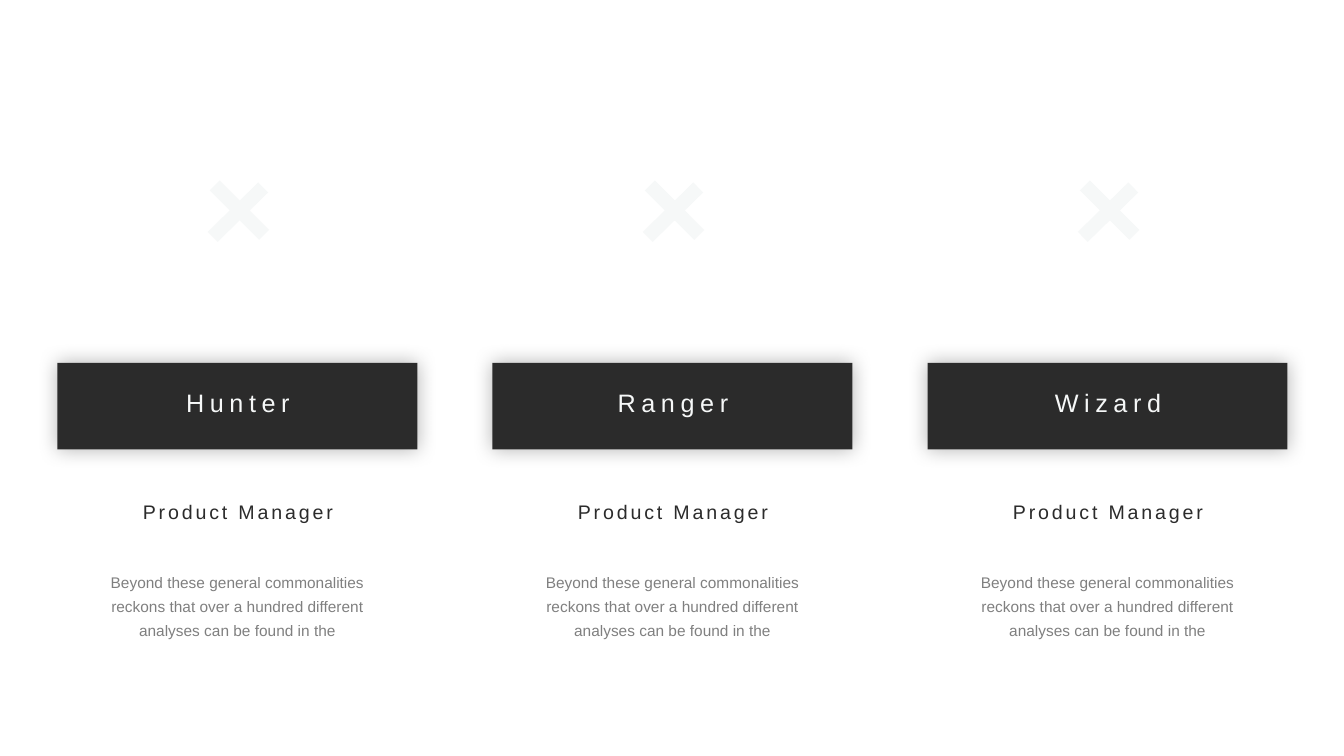
"""Build a slide presenting three team roles in equal columns."""
from lxml import etree
from pptx import Presentation
from pptx.dml.color import RGBColor
from pptx.enum.shapes import MSO_CONNECTOR, MSO_SHAPE
from pptx.enum.text import MSO_AUTO_SIZE, PP_ALIGN
from pptx.oxml.ns import qn
from pptx.util import Inches, Pt

STRAIGHT = MSO_CONNECTOR.STRAIGHT
RECTANGLE = MSO_SHAPE.RECTANGLE
CENTER = PP_ALIGN.CENTER
GROW = MSO_AUTO_SIZE.SHAPE_TO_FIT_TEXT
DARK, PALE, WHITE = "2B2B2B", "F6F8F8", "FFFFFF"
BLURB = ("Beyond these general commonalities reckons that over a hundred "
         "different analyses can be found in the")
COLUMN_PITCH = 4.315


def color(hex_value):
    return RGBColor.from_string(hex_value)


def add_text(left, top, width, height, text, size, hex_value, line_spacing, tracking=0):
    box = slide.shapes.add_textbox(Inches(left), Inches(top), Inches(width), Inches(height))
    box.text_frame.word_wrap = True
    paragraph = box.text_frame.paragraphs[0]
    paragraph.alignment = CENTER
    paragraph.line_spacing = line_spacing
    run = paragraph.add_run()
    run.text = text
    run.font.name = "Arial"
    run.font.size = Pt(size)
    run.font.color.rgb = color(hex_value)
    if tracking:
        run.font._element.set("spc", str(tracking * 100))
    return box


prs = Presentation()
prs.slide_width = Inches(13.33)
prs.slide_height = Inches(7.5)
slide = prs.slides.add_slide(prs.slide_layouts[6])
slide.background.fill.solid()
slide.background.fill.fore_color.rgb = color(PALE)

panel = slide.shapes.add_shape(RECTANGLE, 0, 0, prs.slide_width, prs.slide_height)
panel.shadow.inherit = False
panel.fill.solid()
panel.fill.fore_color.rgb = color(WHITE)
panel.line.fill.background()

for column, role in enumerate(["Hunter", "Ranger", "Wizard"]):
    left = 0.57 + column * COLUMN_PITCH

    banner = slide.shapes.add_shape(
        RECTANGLE, Inches(left), Inches(3.6), Inches(3.57), Inches(0.86))
    banner.shadow.inherit = False
    banner.fill.solid()
    banner.fill.fore_color.rgb = color(DARK)
    banner.line.fill.background()
    effects = banner._element.spPr.find(qn("a:effectLst"))
    glow = etree.SubElement(effects, qn("a:outerShdw"), blurRad=str(Inches(0.2)),
                            dist="0", algn="ctr", rotWithShape="0")
    shade = etree.SubElement(glow, qn("a:srgbClr"), val="000000")
    etree.SubElement(shade, qn("a:alpha"), val="30000")

    add_text(left + 0.61, 3.83, 2.36, 0.41, role, 18, PALE, 0.9, 4)
    add_text(left + 0.61, 4.94, 2.36, 0.41, "Product Manager", 14, DARK, 0.9, 2)
    description = add_text(left + 0.24, 5.58, 3.09, 0.8, BLURB, 11, DARK, 1.3)
    description.text_frame.auto_size = GROW
    for ink in description._element.iter(qn("a:srgbClr")):
        etree.SubElement(ink, qn("a:alpha"), val="60000")

    for x1, y1, x2, y2 in [(2.04, 1.86, 1.54, 2.35), (2.05, 2.33, 1.56, 1.84)]:
        stroke = slide.shapes.add_connector(
            STRAIGHT, Inches(left + x1), Inches(y1), Inches(left + x2), Inches(y2))
        stroke.line.color.rgb = color(PALE)
        stroke.line.width = Pt(10)
        etree.SubElement(stroke._element.spPr, qn("a:effectLst"))

prs.save("out.pptx")
